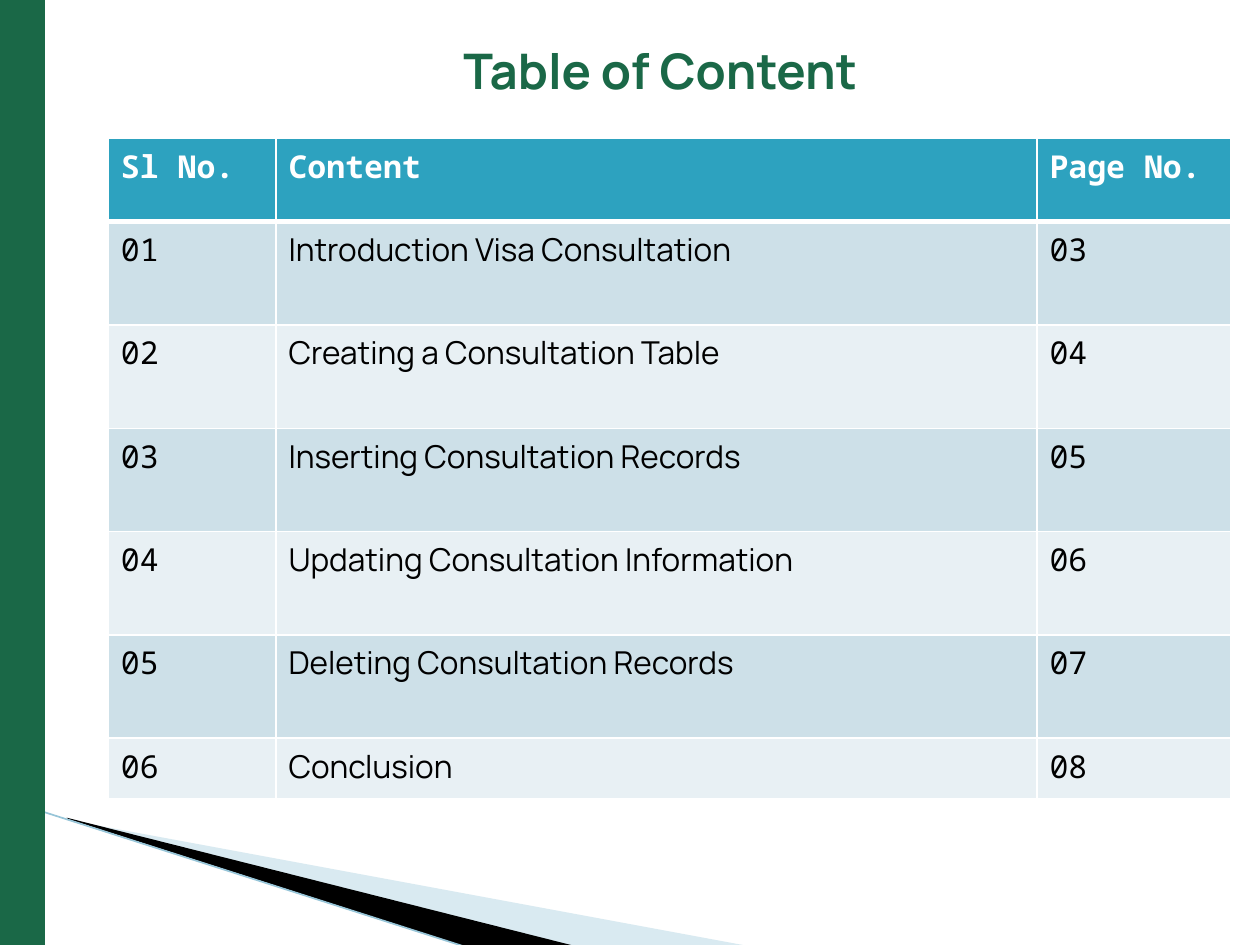
from dataclasses import dataclass

from pptx import Presentation
from pptx.dml.color import RGBColor
from pptx.enum.shapes import MSO_CONNECTOR as Connector, MSO_SHAPE as Preset
from pptx.enum.text import MSO_ANCHOR as Anchor
from pptx.oxml import parse_xml
from pptx.oxml.ns import nsdecls, qn
from pptx.util import Inches, Pt

COLORS = {
    "green": "1A6847",
    "header": "2DA2BF",
    "band_dark": "CDE0E8",
    "band_light": "E8F0F4",
    "wedge": "A0CBDC",
    "line": "97C5D8",
    "black": "000000",
    "white": "FFFFFF",
}
SANS, MONO = "Manrope", "Noto Sans Mono"


@dataclass
class Wedge:
    points: list[tuple[float, float]]
    color: str
    opacity: int = 100


@dataclass
class Entry:
    number: str
    content: str
    page_number: str


WEDGES = [
    Wedge([(0.55, 6.51), (5.95, 7.51), (4.56, 7.51), (0.55, 6.5)], "wedge", 40),
    Wedge([(0.53, 6.49), (4.57, 7.51), (3.72, 7.52), (0.54, 6.5)], "black"),
]
TOPICS = [
    "Introduction Visa Consultation",
    "Creating a Consultation Table",
    "Inserting Consultation Records",
    "Updating Consultation Information",
    "Deleting Consultation Records",
    "Conclusion",
]
ENTRIES = [
    Entry(f"{index:02}", topic, f"{index + 2:02}")
    for index, topic in enumerate(TOPICS, 1)
]
COLUMN_WIDTHS = [1.33, 6.04, 1.54]
ROW_HEIGHTS = [0.66] + [0.82] * 5 + [0.48]


def rgb(name: str) -> RGBColor:
    return RGBColor.from_string(COLORS[name])


def paint(fill, color: str) -> None:
    fill.solid()
    fill.fore_color.rgb = rgb(color)


def style(para, font: str, size: float, color: str, bold: bool = False) -> None:
    para.font.name, para.font.size, para.font.bold = font, Pt(size), bold
    para.font.color.rgb = rgb(color)


def draw_wedge(page, wedge: Wedge) -> None:
    start, *rest = [(Inches(x), Inches(y)) for x, y in wedge.points]
    builder = page.shapes.build_freeform(*start, scale=1.0)
    builder.add_line_segments(rest, close=True)
    shape = builder.convert_to_shape()
    shape.shadow.inherit = False
    paint(shape.fill, wedge.color)
    shape.line.fill.background()
    if wedge.opacity < 100:
        color = shape.fill._xPr.find(qn("a:solidFill"))[0]
        color.append(parse_xml(f'<a:alpha {nsdecls("a")} val="{wedge.opacity * 1000}"/>'))


def draw_decoration(page) -> None:
    for wedge in WEDGES:
        draw_wedge(page, wedge)
    edge = page.shapes.add_connector(
        Connector.STRAIGHT, Inches(-0.01), Inches(6.33), Inches(3.71), Inches(7.52)
    )
    edge.line.color.rgb, edge.line.width = rgb("line"), Pt(0.95)
    edge._element.spPr.append(parse_xml(f'<a:effectLst {nsdecls("a")}/>'))
    bar = page.shapes.add_shape(Preset.RECTANGLE, 0, 0, Inches(0.35), Inches(7.5))
    bar.shadow.inherit = False
    paint(bar.fill, "green")
    bar.line.color.rgb, bar.line.width = rgb("green"), Pt(1)


def draw_title(page) -> None:
    box = page.shapes.add_textbox(Inches(3.58), Inches(0.26), Inches(3.46), Inches(0.53))
    frame = box.text_frame
    frame.word_wrap, frame.vertical_anchor = True, Anchor.BOTTOM
    frame.margin_top = frame.margin_bottom = 0
    para = frame.paragraphs[0]
    para.text = "Table of Content"
    style(para, SANS, 28, "green", True)


def set_borders(cell, bottom: float) -> None:
    properties = cell._tc.get_or_add_tcPr()
    widths = {"lnL": 1, "lnR": 1, "lnT": 1, "lnB": bottom}
    for position, (side, width) in enumerate(widths.items()):
        properties.insert(position, parse_xml(
            f'<a:{side} {nsdecls("a")} w="{Pt(width)}"><a:solidFill>'
            f'<a:srgbClr val="{COLORS["white"]}"/></a:solidFill></a:{side}>'
        ))


def draw_contents(page, entries: list[Entry]) -> None:
    rows = [Entry("Sl No.", "Content", "Page No."), *entries]
    table = page.shapes.add_table(
        len(rows), len(COLUMN_WIDTHS), Inches(0.86), Inches(1.1),
        Inches(sum(COLUMN_WIDTHS)), Inches(sum(ROW_HEIGHTS)),
    ).table
    for column, width in zip(table.columns, COLUMN_WIDTHS):
        column.width = Inches(width)
    for index, (row, height, entry) in enumerate(zip(table.rows, ROW_HEIGHTS, rows)):
        row.height = Inches(height)
        header = index == 0
        fill = "header" if header else "band_dark" if index % 2 else "band_light"
        texts = [entry.number, entry.content, entry.page_number]
        for column, (cell, text) in enumerate(zip(row.cells, texts)):
            cell.text = text
            font = SANS if column == 1 and not header else MONO
            style(cell.text_frame.paragraphs[0], font, 18,
                  "white" if header else "black", header)
            paint(cell.fill, fill)
            set_borders(cell, 3 if header else 1)


def main() -> None:
    """Build the table of contents slide."""
    deck = Presentation()
    deck.slide_width, deck.slide_height = Inches(10), Inches(7.5)
    page = deck.slides.add_slide(deck.slide_layouts[6])
    draw_decoration(page)
    draw_title(page)
    draw_contents(page, ENTRIES)
    deck.save("out.pptx")


if __name__ == "__main__":
    main()
